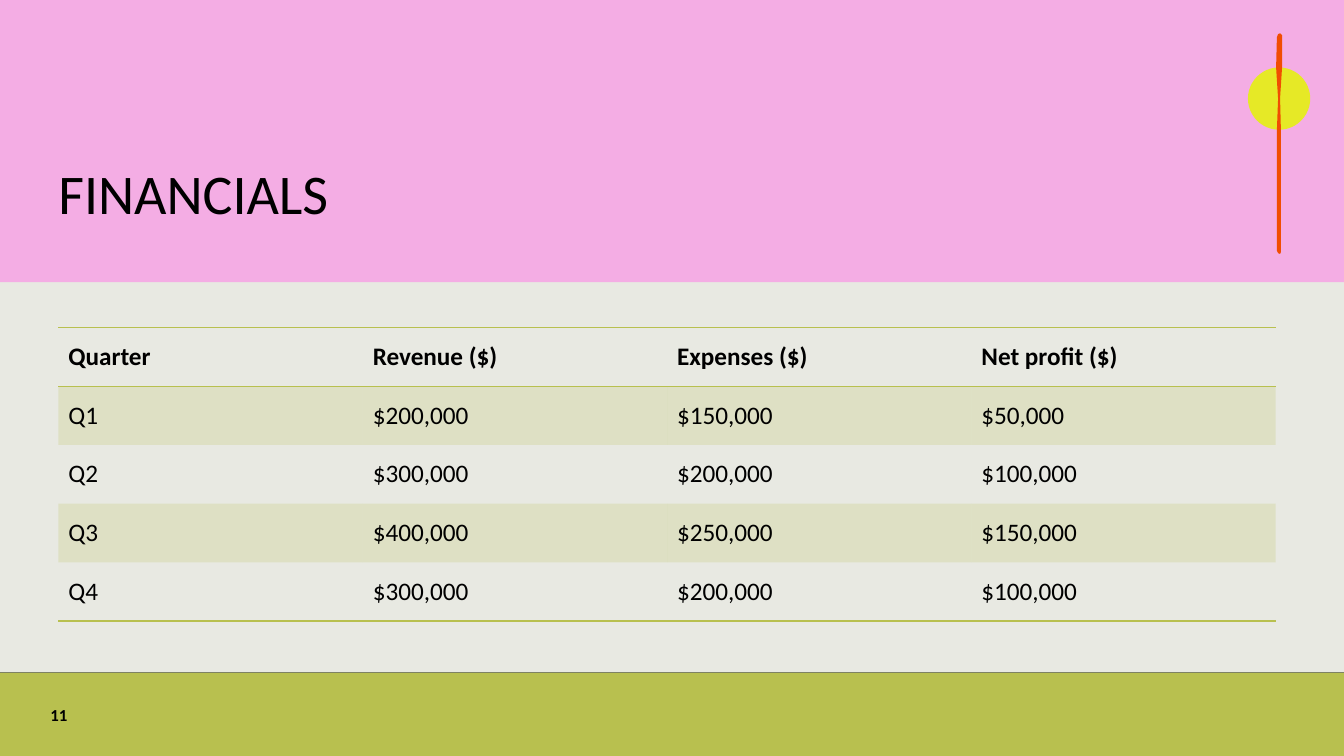
from lxml import etree
from pptx import Presentation
from pptx.dml.color import RGBColor
from pptx.enum import shapes, text
from pptx.oxml import ns
from pptx.util import Cm, Pt

FONT = "Calibri"
COLOURS = {"paper": "E8E9E2", "olive": "B8C04F", "pink": "F4ADE4", "rule": "7E8263",
           "yellow": "E6E926", "orange": "F14D02", "ink": "000000"}
TITLE = "FINANCIALS"
PAGE_NUMBER = "11"
ROWS = [
    ("Quarter", "Revenue ($)", "Expenses ($)", "Net profit ($)"),
    ("Q1", "$200,000", "$150,000", "$50,000"),
    ("Q2", "$300,000", "$200,000", "$100,000"),
    ("Q3", "$400,000", "$250,000", "$150,000"),
    ("Q4", "$300,000", "$200,000", "$100,000"),
]
WIDTH, HEIGHT = 33.87, 19.05
HEADER_HEIGHT, FOOTER_TOP = 7.11, 16.94
TABLE_LEFT, TABLE_TOP, COLUMN_WIDTH, ROW_HEIGHT = 1.47, 8.25, 7.67, 1.48
STICK = [(32.16, 1.7), (32.18, 0.94), (32.21, 0.86), (32.26, 0.84), (32.31, 0.89),
         (32.31, 1.7), (32.26, 2.47), (32.28, 3.25), (32.28, 6.35), (32.26, 6.4),
         (32.21, 6.38), (32.18, 6.32), (32.18, 3.28), (32.21, 2.49)]
FRAME_FORMAT = {"margin_left": 0, "margin_right": 0, "margin_top": 0, "margin_bottom": 0,
                "vertical_anchor": text.MSO_ANCHOR.BOTTOM, "word_wrap": True,
                "auto_size": text.MSO_AUTO_SIZE.NONE}
NO_TABLE_STYLE = "{2D5ABB26-0587-4C30-8999-92F81FD0307C}"


def colour(name):
    return RGBColor.from_string(COLOURS[name])


def apply(target, values):
    for name, value in values.items():
        setattr(target, name, value)


def paint(shape, name):
    shape.shadow.inherit = False
    shape.fill.solid()
    shape.fill.fore_color.rgb = colour(name)
    shape.line.fill.background()


def add_shape(slide, kind, box, name):
    shape = slide.shapes.add_shape(kind, *map(Cm, box))
    paint(shape, name)


def write(frame, content, size, bold=False):
    frame.text = content
    paragraph = frame.paragraphs[0]
    paragraph.alignment = text.PP_ALIGN.LEFT
    font = paragraph.runs[0].font
    apply(font, {"name": FONT, "size": Pt(size), "bold": bold})
    font.color.rgb = colour("ink")
    return paragraph


def place_text(shape, box, content, size, bold=False):
    apply(shape, dict(zip(("left", "top", "width", "height"), map(Cm, box))))
    apply(shape.text_frame, FRAME_FORMAT)
    return write(shape.text_frame, content, size, bold)


def add_borders(cell, sides):
    properties = cell._tc.get_or_add_tcPr()
    for position, side in enumerate(sides):
        line = etree.Element(ns.qn("a:ln" + side), w=str(Pt(1)))
        fill = etree.SubElement(line, ns.qn("a:solidFill"))
        etree.SubElement(fill, ns.qn("a:srgbClr"), val=COLOURS["olive"])
        properties.insert(position, line)


def add_financials(slide):
    last = len(ROWS) - 1
    columns = len(ROWS[0])
    box = (TABLE_LEFT, TABLE_TOP, COLUMN_WIDTH * columns, ROW_HEIGHT * len(ROWS))
    table = slide.shapes.add_table(len(ROWS), columns, *map(Cm, box)).table
    table.horz_banding = False
    table._tbl.tblPr.find(ns.qn("a:tableStyleId")).text = NO_TABLE_STYLE
    borders = {0: "TB", last: "B"}
    for row, values in enumerate(ROWS):
        for column, value in enumerate(values):
            cell = table.cell(row, column)
            cell.vertical_anchor = text.MSO_ANCHOR.MIDDLE
            write(cell.text_frame, value, 18, row == 0)
            if row % 2:
                cell.fill.solid()
                cell.fill.fore_color.rgb = colour("olive")
                tint = cell._tc.tcPr.find(".//" + ns.qn("a:srgbClr"))
                etree.SubElement(tint, ns.qn("a:alpha"), val="20000")
            else:
                cell.fill.background()
            add_borders(cell, borders.get(row, ""))


def main():
    presentation = Presentation()
    apply(presentation, {"slide_width": Cm(WIDTH), "slide_height": Cm(HEIGHT)})
    slide = presentation.slides.add_slide(presentation.slide_layouts[5])
    slide.background.fill.solid()
    slide.background.fill.fore_color.rgb = colour("paper")
    title = slide.shapes.title
    tree = slide.shapes._spTree

    rectangle = shapes.MSO_SHAPE.RECTANGLE
    add_shape(slide, rectangle, (0, FOOTER_TOP, WIDTH, HEIGHT - FOOTER_TOP), "olive")
    add_shape(slide, rectangle, (0, 0, WIDTH, HEADER_HEIGHT), "pink")
    rule = slide.shapes.add_connector(shapes.MSO_CONNECTOR.STRAIGHT, 0, Cm(FOOTER_TOP),
                                      Cm(WIDTH), Cm(FOOTER_TOP))
    rule.line.color.rgb = colour("rule")
    rule.line.width = Pt(1)
    etree.SubElement(rule._element.spPr, ns.qn("a:effectLst"))

    add_shape(slide, shapes.MSO_SHAPE.OVAL, (31.45, 1.7, 1.57, 1.57), "yellow")
    points = [(Cm(x), Cm(y)) for x, y in STICK]
    builder = slide.shapes.build_freeform(*points[0])
    builder.add_line_segments(points[1:])
    paint(builder.convert_to_shape(), "orange")

    tree.append(title._element)
    heading = place_text(title, (1.47, 1.14, 29.26, 4.57), TITLE, 40)
    heading.line_spacing = 0.9
    number = slide.shapes.add_textbox(0, 0, 0, 0)
    place_text(number, (1.27, 17.5, 1.78, 0.76), PAGE_NUMBER, 12, True)
    add_financials(slide)
    presentation.save("out.pptx")


if __name__ == "__main__":
    main()
